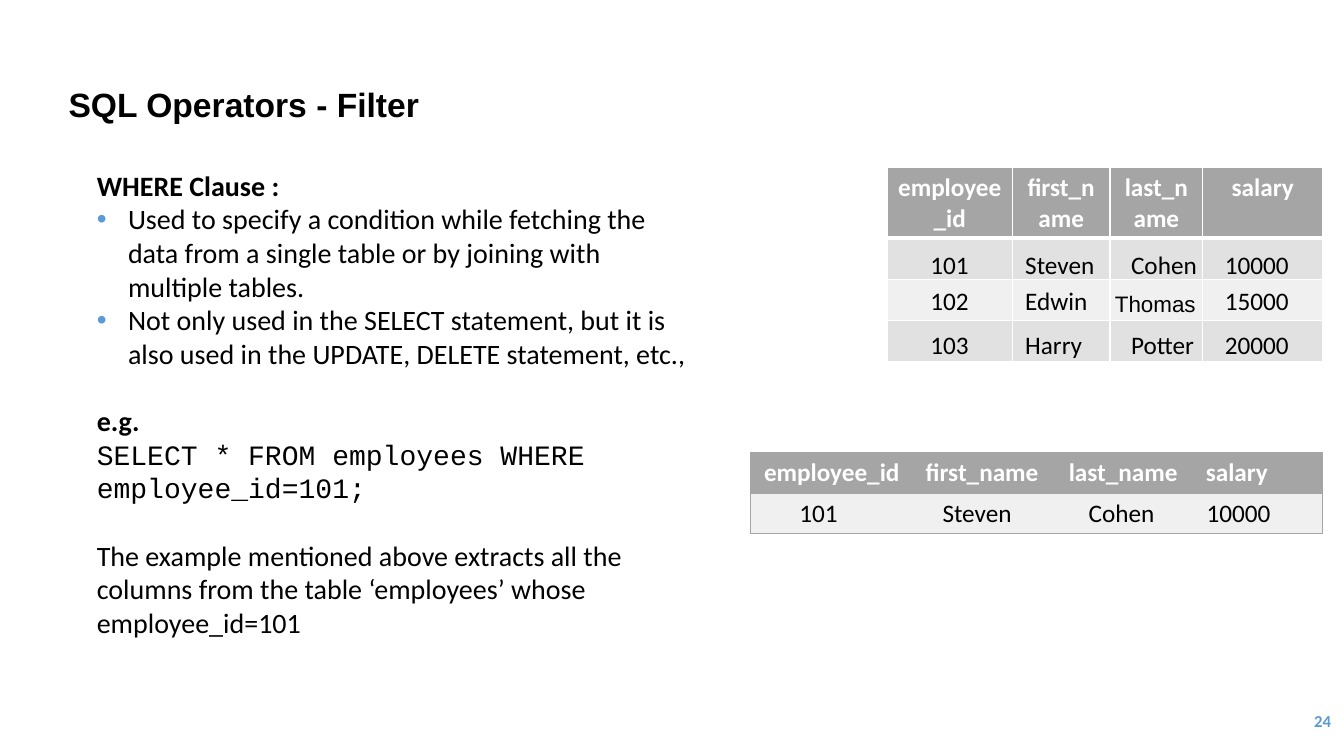
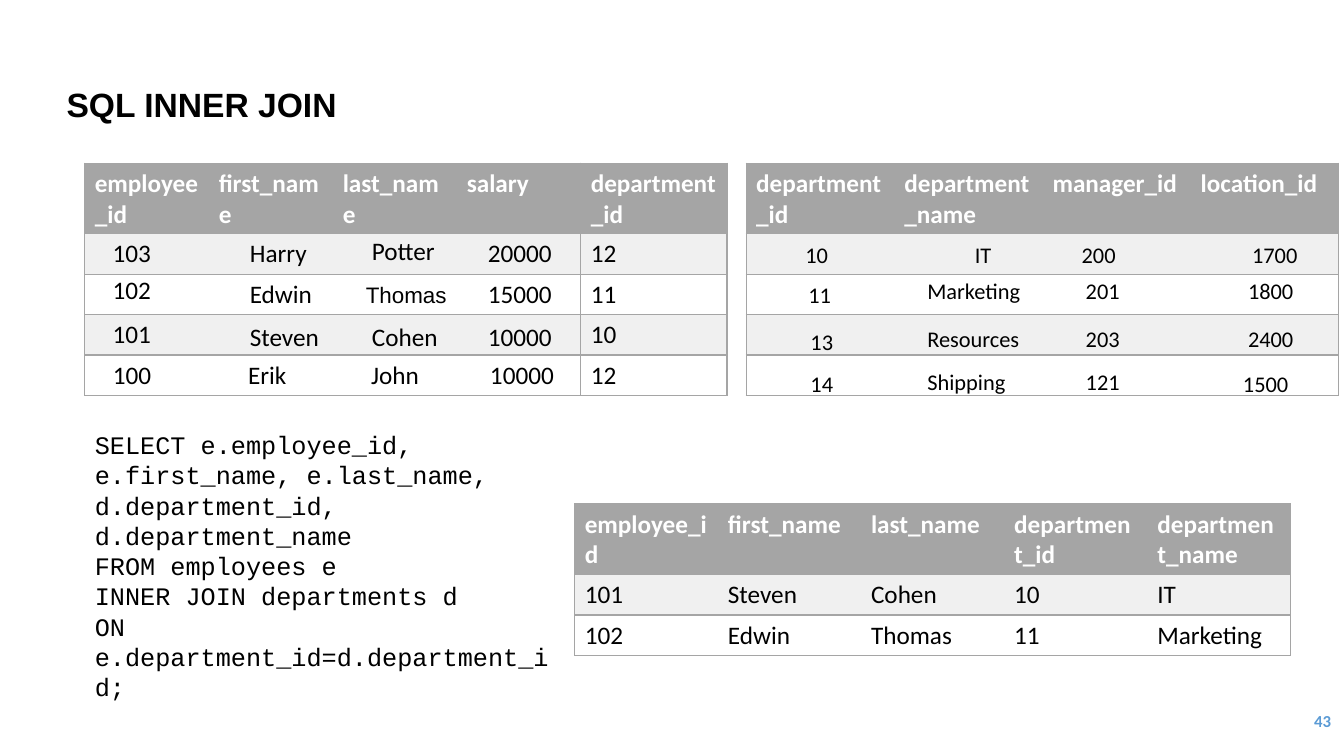
"""Build two SQL lesson slides: the WHERE filter and the INNER JOIN."""
from lxml.etree import SubElement
from pptx import Presentation
from pptx.dml.color import RGBColor
from pptx.enum.text import MSO_ANCHOR as Anchor, MSO_AUTO_SIZE as AutoSize, PP_ALIGN as Align
from pptx.oxml.ns import qn
from pptx.util import Inches, Pt

COLORS = {"text": "000000", "white": "FFFFFF", "accent": "5B9BD5",
          "header": "A5A5A5", "band": "F0F0F0", "dark_band": "E1E1E1"}


def style(paragraph, size, font="Calibri", color="text", bold=False, align=Align.LEFT):
    paragraph.alignment = align
    paragraph.font.size = Pt(size)
    paragraph.font.name = font
    paragraph.font.bold = bold
    paragraph.font.color.rgb = RGBColor.from_string(COLORS[color])


def add_data_table(slide, left, top, widths, rows, insets=None, header_height=0.7,
                   body_height=0.4, centered=(), bands=("band", "white"),
                   border="header", inner_lines=False, header_rule=1):
    heights = [header_height] + [body_height] * (len(rows) - 1)
    table = slide.shapes.add_table(
        len(rows), len(widths), Inches(left), Inches(top),
        Inches(sum(widths)), Inches(sum(heights))).table
    table.horz_banding = False
    for column, width in zip(table.columns, widths):
        column.width = Inches(width)
    last = len(widths) - 1
    for r, values in enumerate(rows):
        table.rows[r].height = Inches(heights[r])
        for c, value in enumerate(values):
            cell = table.cell(r, c)
            cell.text = value
            paragraph = cell.text_frame.paragraphs[0]
            if r == 0:
                style(paragraph, 18, color="white", bold=True,
                      align=Align.CENTER if c in centered else Align.LEFT)
            else:
                style(paragraph, 18)
                if insets:
                    cell.margin_left = Inches(insets[c])
            edges = {"a:lnL": 1 if inner_lines or c == 0 else 0,
                     "a:lnR": 1 if inner_lines or c == last else 0,
                     "a:lnT": header_rule if r == 1 else 1,
                     "a:lnB": header_rule if r == 0 else 1}
            properties = cell._tc.get_or_add_tcPr()
            for edge, weight in edges.items():
                line = SubElement(properties, qn(edge), w=str(Pt(weight)))
                if weight:
                    paint = SubElement(line, qn("a:solidFill"))
                    SubElement(paint, qn("a:srgbClr"), val=COLORS[border])
                else:
                    SubElement(line, qn("a:noFill"))
            fill = "header" if r == 0 else bands[(r - 1) % 2]
            cell.fill.solid()
            cell.fill.fore_color.rgb = RGBColor.from_string(COLORS[fill])


prs = Presentation()
prs.slide_width, prs.slide_height = Inches(13.33), Inches(7.5)

BULLET, PLAIN = True, False
filter_text = [
    ("WHERE Clause :", "Calibri", True, PLAIN, 0),
    ("Used to specify a condition while fetching the data from a single table or by joining "
     "with multiple tables.", "Calibri", False, BULLET, 0),
    ("Not only used in the SELECT statement, but it is also used in the UPDATE, DELETE "
     "statement, etc.,", "Calibri", False, BULLET, 0),
    ("e.g.", "Calibri", True, PLAIN, 24),
    ("SELECT * FROM employees WHERE employee_id=101;", "Courier New", False, PLAIN, 0),
    ("The example mentioned above extracts all the columns from the table ‘employees’ whose "
     "employee_id=101", "Calibri", False, PLAIN, 24),
]
join_query = [(line, "Courier New", False, PLAIN, 0) for line in (
    "SELECT e.employee_id, e.first_name, e.last_name, d.department_id,",
    "d.department_name",
    "FROM employees e",
    "INNER JOIN departments d",
    "ON e.department_id=d.department_id;")]

lessons = [
    ("SQL Operators - Filter", 0.58, "24", (0.86, 1.62, 6.15, 4.81), 20, filter_text),
    ("SQL INNER JOIN", 0.56, "43", (0.84, 4.21, 4.84, 2.93), 18, join_query),
]
slides = []
for heading, heading_left, number, body_box, body_size, body_lines in lessons:
    slide = prs.slides.add_slide(prs.slide_layouts[1])
    slides.append(slide)

    title = slide.shapes.title
    title.left, title.top = Inches(heading_left), Inches(0.86)
    title.width, title.height = Inches(10.44), Inches(0.4)
    title.text = heading
    title.text_frame.auto_size = AutoSize.NONE
    title.text_frame.vertical_anchor = Anchor.MIDDLE
    title.text_frame.paragraphs[0].line_spacing = 0.9
    style(title.text_frame.paragraphs[0], 24, "Arial", bold=True)

    body = slide.placeholders[1]
    body.left, body.top, body.width, body.height = map(Inches, body_box)
    frame = body.text_frame
    frame.auto_size = AutoSize.NONE
    frame.text = "\n".join(line[0] for line in body_lines)
    for paragraph, (_, font, bold, bulleted, gap) in zip(frame.paragraphs, body_lines):
        properties = paragraph._p.get_or_add_pPr()
        indent = Inches(0.31) if bulleted else 0
        properties.set("marL", str(indent))
        properties.set("indent", str(-indent))
        if bulleted:
            bullet_color = SubElement(properties, qn("a:buClr"))
            SubElement(bullet_color, qn("a:srgbClr"), val=COLORS["accent"])
            SubElement(properties, qn("a:buFont"), typeface="Arial")
            SubElement(properties, qn("a:buChar"), char="•")
        else:
            SubElement(properties, qn("a:buNone"))
        paragraph.space_before = Pt(gap)
        style(paragraph, body_size, font, bold=bold)

    page = slide.shapes.add_textbox(Inches(11.63), Inches(6.95), Inches(1.67), Inches(0.4))
    page.text_frame.word_wrap = True
    page.text_frame.vertical_anchor = Anchor.MIDDLE
    page.text_frame.text = number
    style(page.text_frame.paragraphs[0], 12, color="accent", bold=True, align=Align.RIGHT)

filter_slide, join_slide = slides
employee_fields = ["employee_id", "first_name", "last_name", "salary"]
steven = ["101", "Steven", "Cohen", "10000"]
edwin = ["102", "Edwin", "Thomas", "15000"]
harry = ["103", "Harry", "Potter", "20000"]
erik = ["100", "Erik", "John", "10000"]
departments = [["10", "IT", "200", "1700"],
               ["11", "Marketing", "201", "1800"],
               ["13", "Resources", "203", "2400"],
               ["14", "Shipping", "121", "1500"]]
open_row = [""] * 4

add_data_table(filter_slide, 8.8, 1.66, [1.24, 0.97, 0.92, 1.19],
               [employee_fields] + [open_row] * 3, body_height=0.41, centered=range(4),
               bands=("dark_band", "band"), border="white", inner_lines=True, header_rule=3)
add_data_table(filter_slide, 7.44, 4.49, [1.62, 1.36, 1.44, 1.26],
               [employee_fields, open_row], header_height=0.4, centered=range(3))
add_data_table(join_slide, 5.7, 5, [1.42] * 5,
               [["employee_id", "first_name", "last_name", "department_id", "department_name"],
                ["101", "Steven", "Cohen", "10", "IT"],
                ["102", "Edwin", "Thomas", "11", "Marketing"]])
add_data_table(join_slide, 0.84, 1.62, [1.23] * 4,
               [employee_fields] + [open_row] * 3 + [erik], insets=[0.28, 0.39, 0.38, 0.33])
add_data_table(join_slide, 5.76, 1.62, [1.45],
               [["department_id"], ["12"], ["11"], ["10"], ["12"]])
add_data_table(join_slide, 7.4, 1.62, [1.47] * 4,
               [["department_id", "department_name", "manager_id", "location_id"]]
               + [open_row] * 4)

value_grids = [
    (filter_slide, 18, [9.13, 10.07, 11.12, 12.05], [2.42, 2.78, 3.22],
     [steven, edwin, harry], {"Thomas": (-0.16, 0.05)}),
    (filter_slide, 18, [7.83, 9.25, 10.7, 11.87], [4.88], [steven], {}),
    (join_slide, 18, [1.02, 2.38, 3.59, 4.74], [2.31, 2.71, 3.14], [harry, edwin, steven],
     {"Thomas": (-0.06, 0.03), "102": (0, -0.04), "101": (0, -0.03), "Potter": (0, -0.02)}),
    (join_slide, 16, [7.92, 9.1, 10.67, 12.28], [2.34, 2.7, 3.18, 3.6], departments,
     {"10": (-0.03, 0), "IT": (0.47, 0), "200": (-0.04, 0), "1700": (0.04, 0),
      "11": (0, 0.04), "13": (0.02, 0.03), "14": (0.02, 0.02), "1500": (-0.05, 0.02)}),
]
for slide, size, lefts, tops, records, nudges in value_grids:
    for top, record in zip(tops, records):
        for left, value in zip(lefts, record):
            across, down = nudges.get(value, (0, 0))
            entry = slide.shapes.add_textbox(
                Inches(left + across), Inches(top + down), Inches(1.2), Inches(0.4))
            entry.text_frame.word_wrap = True
            entry.text_frame.text = value
            if value == "Thomas":
                style(entry.text_frame.paragraphs[0], 16, "Arial")
            else:
                style(entry.text_frame.paragraphs[0], size)

prs.save("out.pptx")
